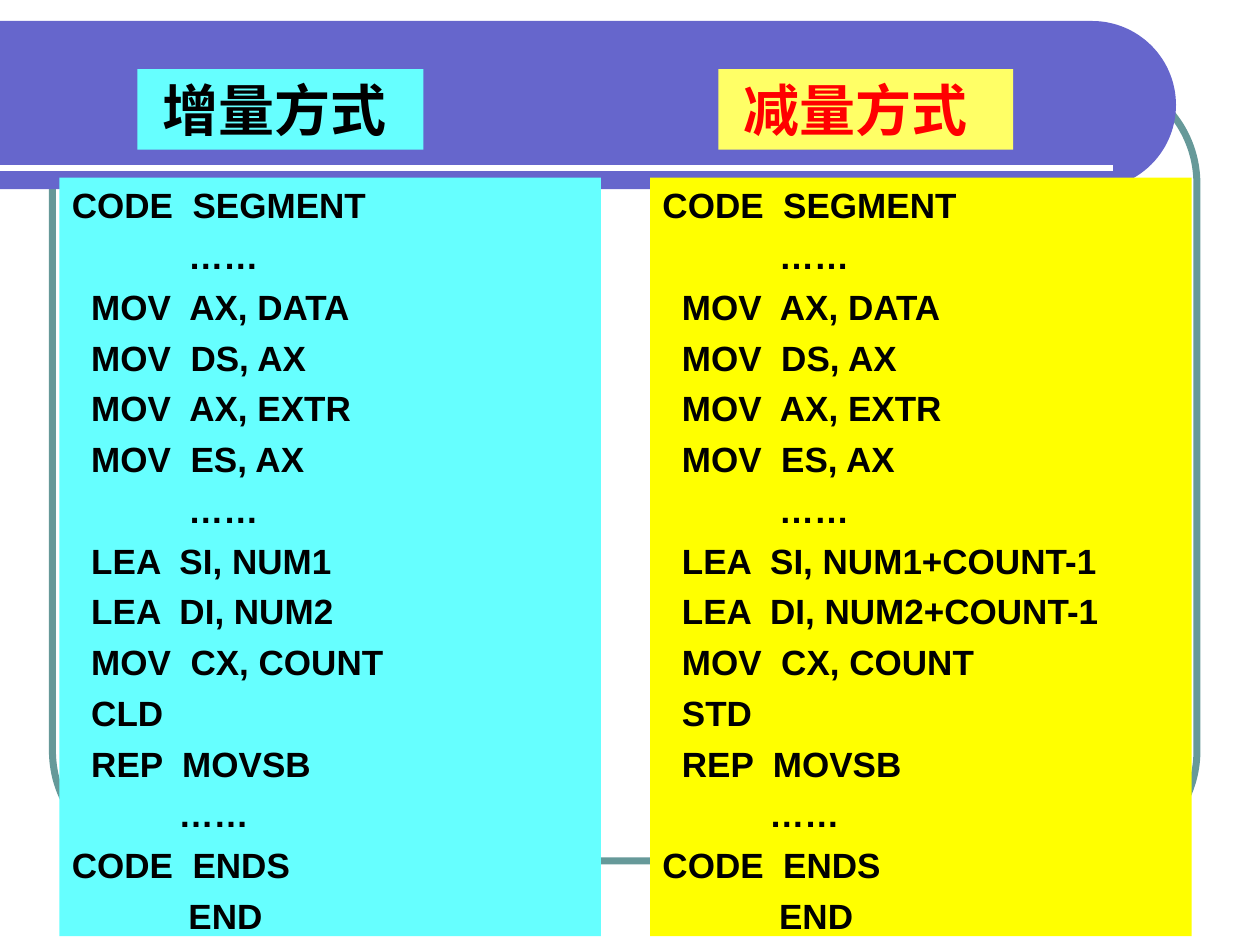
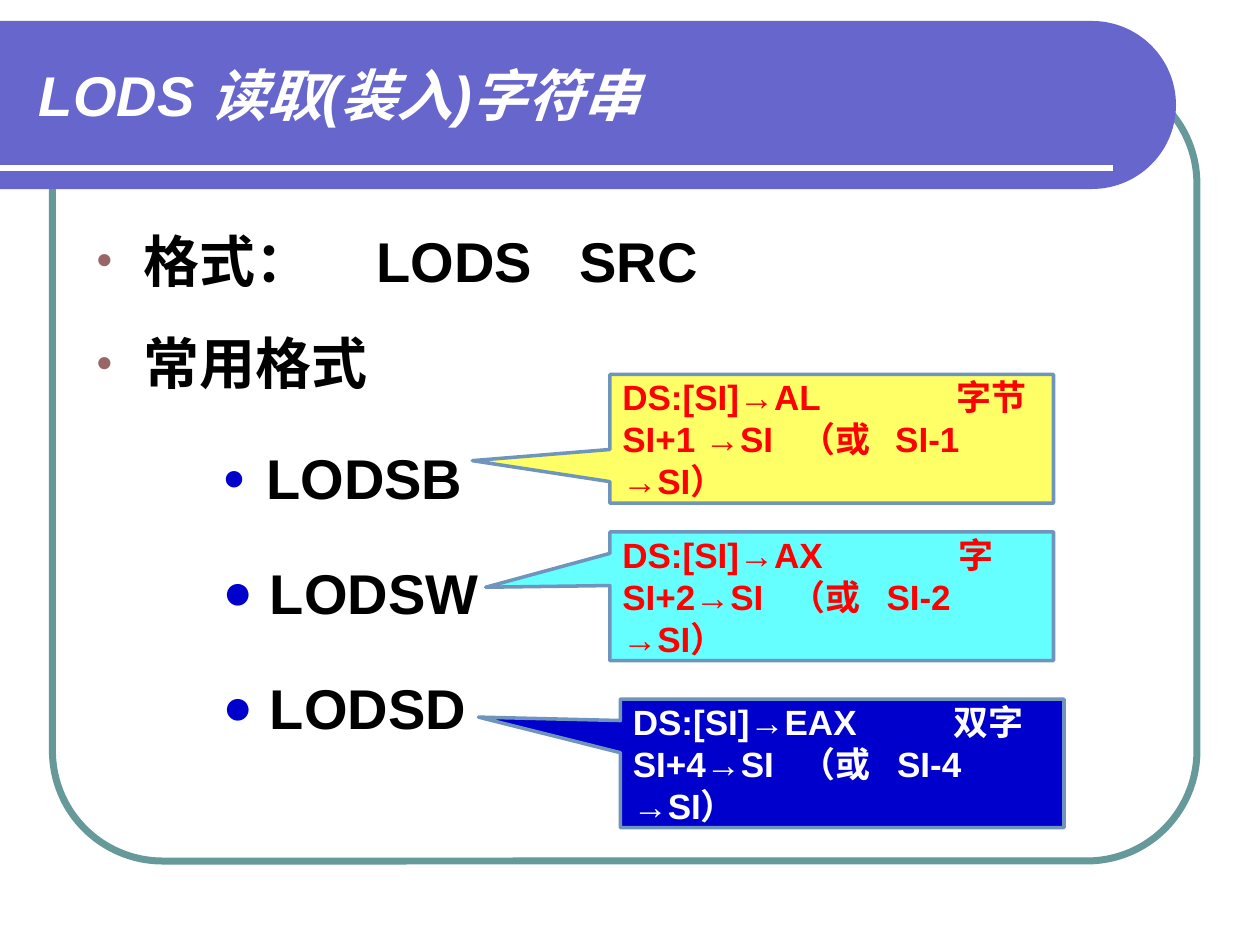
from dataclasses import dataclass
from math import cos, radians, sin

from lxml.etree import SubElement
from pptx import Presentation
from pptx.dml.color import RGBColor as RGB
from pptx.enum.shapes import MSO_CONNECTOR as CONN, MSO_SHAPE as SHAPE
from pptx.enum.text import MSO_ANCHOR as ANCHOR, MSO_AUTO_SIZE as AUTO, PP_ALIGN as ALIGN
from pptx.oxml.ns import qn
from pptx.util import Pt


@dataclass(frozen=True)
class Theme:
    font: str = "Arial"
    black: str = "000000"
    white: str = "FFFFFF"
    red: str = "FF0000"
    blue: str = "0000CC"
    band: str = "6666CC"
    frame: str = "669999"
    bullet: str = "996666"
    outline: str = "6F95BC"
    cyan: str = "66FFFF"
    yellow: str = "FFFF00"
    pale_yellow: str = "FFFF66"
    large: int = 32
    small: int = 20


def write(p, text, theme, size, color, italic=False, before=0, after=0, line=None,
          margin=0, indent=0, bullet=None, tabs=()):
    pPr = p._p.get_or_add_pPr()
    if margin:
        pPr.set("marL", str(Pt(margin)))
        pPr.set("indent", str(Pt(indent)))
    if bullet:
        char, color_hex, percent = bullet
        SubElement(SubElement(pPr, qn("a:buClr")), qn("a:srgbClr"), val=color_hex)
        SubElement(pPr, qn("a:buSzPct"), val=str(percent * 1000))
        SubElement(pPr, qn("a:buChar"), char=char)
    else:
        SubElement(pPr, qn("a:buNone"))
    if tabs:
        stops = SubElement(pPr, qn("a:tabLst"))
        for pos in tabs:
            SubElement(stops, qn("a:tab"), pos=str(Pt(pos)), algn="l")
    p.alignment = ALIGN.LEFT
    p.space_before, p.space_after = Pt(before), Pt(after)
    if line:
        p.line_spacing = line
    r = p.add_run()
    r.text = text
    f = r.font
    f.name, f.size, f.bold, f.italic = theme.font, Pt(size), True, italic
    f.color.rgb = RGB.from_string(color)


class Deck:
    def __init__(self, theme):
        self.theme = theme
        self.prs = Presentation()
        self.prs.slide_width, self.prs.slide_height = Pt(720), Pt(540)
        self.s = None

    def slide(self, layout):
        self.s = self.prs.slides.add_slide(self.prs.slide_layouts[layout])
        self.frame()

    def style(self, sp, fill=None, line=None, width=0):
        sp.shadow.inherit = False
        if fill:
            sp.fill.solid()
            sp.fill.fore_color.rgb = RGB.from_string(fill)
        else:
            sp.fill.background()
        if line:
            sp.line.color.rgb = RGB.from_string(line)
            sp.line.width = Pt(width)
        else:
            sp.line.fill.background()

    def shape(self, kind, box, **look):
        sp = self.s.shapes.add_shape(kind, *map(Pt, box))
        self.style(sp, **look)
        return sp

    def frame(self):
        t = self.theme
        sp = self.shape(SHAPE.ROUNDED_RECTANGLE, (30, 42, 654, 450), line=t.frame, width=4)
        sp.adjustments[0] = 0.14
        arc = [(Pt(624 + 48 * cos(radians(a))), Pt(60 + 48 * sin(radians(a))))
               for a in range(-90, 91, 3)]
        fb = self.s.shapes.build_freeform(0, Pt(12), scale=1.0)
        fb.add_line_segments(arc + [(0, Pt(108))], close=True)
        self.style(fb.convert_to_shape(), fill=t.band)
        rule = self.s.shapes.add_connector(CONN.STRAIGHT, 0, Pt(96), Pt(636), Pt(96))
        rule.line.color.rgb = RGB.from_string(t.white)
        rule.line.width = Pt(3)
        SubElement(rule._element.spPr, qn("a:effectLst"))

    def text_frame(self, sp, anchor=ANCHOR.TOP, left=7.2):
        tf = sp.text_frame
        tf.word_wrap, tf.auto_size, tf.vertical_anchor = True, AUTO.NONE, anchor
        tf.margin_left, tf.margin_right = Pt(left), Pt(7.2)
        tf.margin_top = tf.margin_bottom = Pt(3.6)
        return tf

    def fill_text(self, tf, rows, before=0, **common):
        for i, (text, fmt) in enumerate(rows):
            p = tf.paragraphs[0] if i == 0 else tf.add_paragraph()
            fmt = dict(fmt)
            p.level = fmt.pop("level", 0)
            write(p, text, self.theme, before=before if i else 0, **common, **fmt)

    def placeholder(self, index, box, anchor=ANCHOR.TOP):
        sp = self.s.placeholders[index]
        sp.left, sp.top, sp.width, sp.height = map(Pt, box)
        sp.element.getparent().append(sp.element)
        return self.text_frame(sp, anchor)

    def title(self, text):
        tf = self.placeholder(0, (15, 18, 631.5, 72), ANCHOR.MIDDLE)
        self.fill_text(tf, [(text, {})], size=self.theme.large, color=self.theme.white, italic=True)

    def body(self, rows):
        tf = self.placeholder(1, (48, 126, 624, 348))
        self.fill_text(tf, rows, before=8, size=self.theme.large, color=self.theme.black)

    def heading(self, text, box, fill, color):
        sp = self.shape(SHAPE.RECTANGLE, box, fill=fill)
        tf = self.text_frame(sp, left=14.5)
        self.fill_text(tf, [(text, {})], size=self.theme.large, color=color)

    def code(self, lines, left, fill):
        sp = self.shape(SHAPE.RECTANGLE, (left, 101.5, 309.5, 433.5), fill=fill)
        self.fill_text(self.text_frame(sp), [(text, {}) for text in lines], before=5,
                       size=self.theme.small, color=self.theme.black, margin=27, indent=-27)

    def callout(self, rows, left, top, tip, fill, color):
        sp = self.shape(SHAPE.RECTANGULAR_CALLOUT, (left, top, 253.5, 73.5),
                        fill=fill, line=self.theme.outline, width=2)
        sp.adjustments[0], sp.adjustments[1] = tip
        self.fill_text(self.text_frame(sp, ANCHOR.MIDDLE),
                       [(text, {"tabs": tabs}) for text, tabs in rows],
                       size=self.theme.small, color=color)


def program(offset, direction):
    return ["CODE  SEGMENT", "            ……", "  MOV  AX, DATA", "  MOV  DS, AX",
            "  MOV  AX, EXTR", "  MOV  ES, AX", "            ……",
            f"  LEA  SI, NUM1{offset}", f"  LEA  DI, NUM2{offset}", "  MOV  CX, COUNT",
            f"  {direction}", "  REP  MOVSB", "           ……", "CODE  ENDS", "            END"]


def compare_slide(deck):
    t = deck.theme
    deck.slide(6)
    deck.code(program("", "CLD"), 34, t.cyan)
    deck.code(program("+COUNT-1", "STD"), 371.5, t.yellow)
    deck.heading("增量方式", (78.5, 39.5, 163.5, 46), t.cyan, t.black)
    deck.heading("减量方式", (410.5, 39.5, 168.5, 46), t.pale_yellow, t.red)


def lods_slide(deck):
    t = deck.theme
    deck.slide(1)
    deck.title("LODS 读取(装入)字符串")
    topic = dict(margin=27, indent=-27, bullet=("•", t.bullet, 80))
    rows = [("格式：\tLODS\tSRC", dict(topic, after=12, tabs=(160, 276))), ("常用格式", topic)]
    for name, margin, percent in (("LODSB", 97, 68), ("LODSW", 99, 90), ("LODSD", 99, 90)):
        rows.append((name, dict(level=2, margin=margin, indent=72 - margin, line=1.5,
                                bullet=("●", t.blue, percent))))
    deck.body(rows)
    callouts = (
        ("AL", "字节", 191, "1 ", 1, (102, 156), 348.5, 214, (-0.81, 0.17), t.pale_yellow, t.red),
        ("AX", "字", 192, "2", 2, (96, 151), 348.5, 304, (-0.78, -0.07), t.cyan, t.red),
        ("EAX", "双字", 183, "4", 4, (96, 151), 354.5, 399.5, (-0.82, -0.36), t.blue, t.white),
    )
    for register, unit, unit_tab, up, down, tabs, left, top, tip, fill, color in callouts:
        deck.callout([(f"DS:[SI]→{register}\t{unit}", (unit_tab,)),
                      (f"SI+{up}→SI\t（或\tSI-{down} →SI）", tabs)],
                     left, top, tip, fill, color)


def main():
    deck = Deck(Theme())
    compare_slide(deck)
    lods_slide(deck)
    deck.prs.save("out.pptx")


if __name__ == "__main__":
    main()
